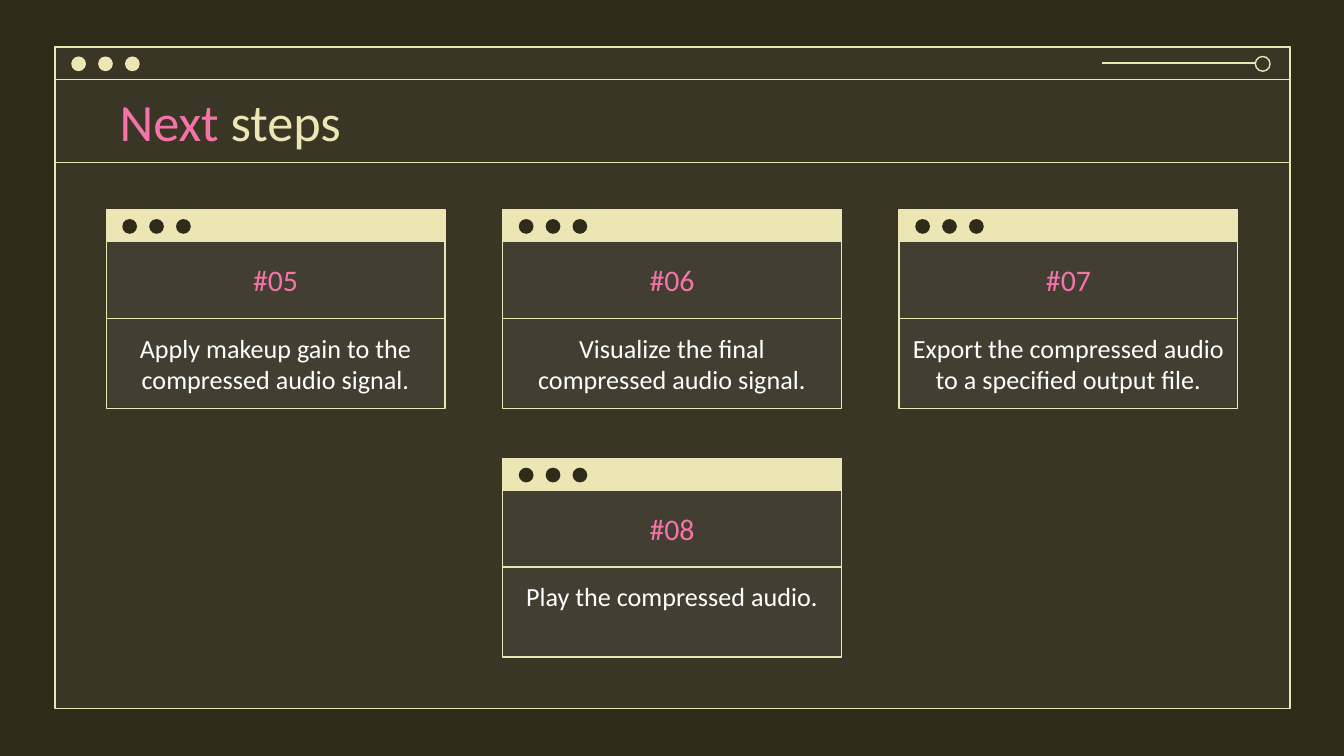
from lxml.etree import SubElement
from pptx import Presentation
from pptx.dml.color import RGBColor
from pptx.enum.shapes import MSO_CONNECTOR, MSO_SHAPE
from pptx.enum.text import MSO_ANCHOR, PP_ALIGN
from pptx.oxml.ns import qn
from pptx.util import Inches, Pt

COLORS = {
    "background": "2F2B19",
    "cream": "ECE5B4",
    "pink": "F673A9",
    "white": "FFFFFF",
    "panel": "7C7C7C",
}
FONT = "Calibri"
LINE_WIDTH = 0.75
BAR_HEIGHT = 0.24
DOT_SIZE = 0.11
DOT_STEP = 0.2
CARD_WIDTH = 2.52
CARD_STEP_X = 2.95
CARD_STEP_Y = 1.85
HEADING_TOP = 0.23
HEADING_HEIGHT = 0.58
BODY_HEIGHT = 0.67

HEADING_FORMAT = {"size": 16, "color_name": "pink", "anchor": MSO_ANCHOR.MIDDLE}
BODY_FORMAT = {"size": 14, "color_name": "white", "anchor": MSO_ANCHOR.TOP}

CARDS = [
    (0, 0, "#05", "Apply makeup gain to the compressed audio signal."),
    (1, 0, "#06", "Visualize the final compressed audio signal."),
    (2, 0, "#07", "Export the compressed audio to a specified output file."),
    (1, 1, "#08", "Play the compressed audio."),
]


def color(name):
    return RGBColor.from_string(COLORS[name])


def add_box(slide, kind, box, fill=None, line=None, opacity=None):
    shape = slide.shapes.add_shape(kind, *(Inches(length) for length in box))
    shape.shadow.inherit = False
    if fill:
        shape.fill.solid()
        shape.fill.fore_color.rgb = color(fill)
        if opacity:
            fill_color = shape._element.spPr.find(qn("a:solidFill"))[0]
            SubElement(fill_color, qn("a:alpha"), val=str(opacity * 1000))
    else:
        shape.fill.background()
    if line:
        shape.line.color.rgb = color(line)
        shape.line.width = Pt(LINE_WIDTH)
    else:
        shape.line.fill.background()
    return shape


def add_line(slide, left, right, top):
    connector = slide.shapes.add_connector(
        MSO_CONNECTOR.STRAIGHT, Inches(left), Inches(top), Inches(right), Inches(top)
    )
    connector.line.color.rgb = color("cream")
    connector.line.width = Pt(LINE_WIDTH)
    SubElement(connector._element.spPr, qn("a:effectLst"))


def add_run(paragraph, text, size, color_name):
    run = paragraph.add_run()
    run.text = text
    formats = {"name": FONT, "size": Pt(size), "bold": False}
    for attribute, value in formats.items():
        setattr(run.font, attribute, value)
    run.font.color.rgb = color(color_name)


def format_frame(text_frame, anchor, side_margin=0.1):
    formats = {
        "word_wrap": True,
        "vertical_anchor": anchor,
        "margin_left": Inches(side_margin),
        "margin_right": Inches(side_margin),
        "margin_top": Inches(0.1),
        "margin_bottom": Inches(0.1),
    }
    for attribute, value in formats.items():
        setattr(text_frame, attribute, value)


def add_bar(slide, left, top, width, dot_color, fill=None):
    add_box(slide, MSO_SHAPE.RECTANGLE, (left, top, width, BAR_HEIGHT), fill, "cream")
    for index in range(3):
        dot = (left + 0.12 + index * DOT_STEP, top + 0.07, DOT_SIZE, DOT_SIZE)
        add_box(slide, MSO_SHAPE.OVAL, dot, dot_color)


def add_window(slide, left, top, width, height):
    box = (left, top, width, height)
    add_box(slide, MSO_SHAPE.RECTANGLE, box, "panel", opacity=14)
    add_box(slide, MSO_SHAPE.RECTANGLE, box, line="cream")
    add_bar(slide, left, top, width, "cream")
    knob_left = left + width - 0.26
    knob = (knob_left, top + 0.07, DOT_SIZE, DOT_SIZE)
    add_box(slide, MSO_SHAPE.OVAL, knob, line="cream")
    add_line(slide, knob_left - 1.14, knob_left, top + 0.12)
    add_line(slide, left, left + width, top + 0.86)


def place_title(slide, left, top, width, height):
    title = slide.shapes.title
    slide.shapes._spTree.append(title._element)
    box = {"left": left, "top": top, "width": width, "height": height}
    for attribute, value in box.items():
        setattr(title, attribute, Inches(value))
    format_frame(title.text_frame, MSO_ANCHOR.MIDDLE)
    paragraph = title.text_frame.paragraphs[0]
    paragraph.alignment = PP_ALIGN.LEFT
    add_run(paragraph, "Next", 28, "pink")
    add_run(paragraph, " steps", 28, "cream")


def add_panel(slide, box, text, size, color_name, anchor):
    shape = add_box(slide, MSO_SHAPE.RECTANGLE, box, line="cream")
    format_frame(shape.text_frame, anchor, 0.09)
    paragraph = shape.text_frame.paragraphs[0]
    paragraph.alignment = PP_ALIGN.CENTER
    add_run(paragraph, text, size, color_name)


def add_card(slide, left, top, heading, body):
    heading_top = top + HEADING_TOP
    body_top = heading_top + HEADING_HEIGHT
    backdrop = (left, top + BAR_HEIGHT, CARD_WIDTH, 1.23)
    add_box(slide, MSO_SHAPE.RECTANGLE, backdrop, "panel", opacity=14)
    add_bar(slide, left, top, CARD_WIDTH, "background", "cream")
    heading_box = (left, heading_top, CARD_WIDTH, HEADING_HEIGHT)
    add_panel(slide, heading_box, heading, **HEADING_FORMAT)
    body_box = (left, body_top, CARD_WIDTH, BODY_HEIGHT)
    add_panel(slide, body_box, body, **BODY_FORMAT)


def main():
    presentation = Presentation()
    presentation.slide_width = Inches(10)
    presentation.slide_height = Inches(10) * 9 // 16
    slide = presentation.slides.add_slide(presentation.slide_layouts[5])
    slide.background.fill.solid()
    slide.background.fill.fore_color.rgb = color("background")
    add_window(slide, 0.41, 0.35, 9.19, 4.92)
    place_title(slide, 0.79, 0.59, 8.43, 0.62)
    for column, row, heading, body in CARDS:
        left = 0.79 + column * CARD_STEP_X
        top = 1.56 + row * CARD_STEP_Y
        add_card(slide, left, top, heading, body)
    presentation.save("out.pptx")


if __name__ == "__main__":
    main()
